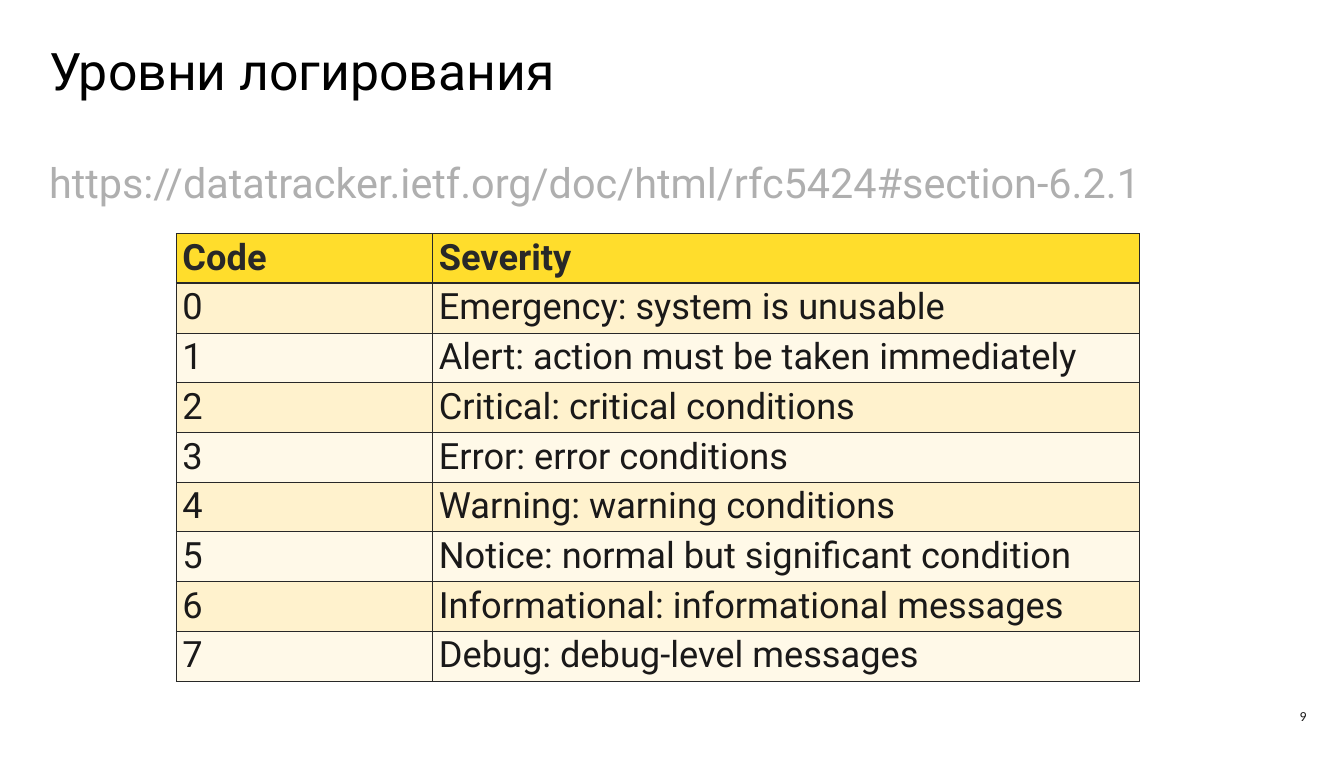
from dataclasses import dataclass

from lxml.etree import SubElement
from pptx import Presentation
from pptx.dml.color import RGBColor
from pptx.enum.text import MSO_ANCHOR as Anchor, MSO_AUTO_SIZE as AutoSize, PP_ALIGN as Align
from pptx.oxml.ns import qn
from pptx.slide import Slide
from pptx.table import _Cell as Cell
from pptx.text.text import _Paragraph as Paragraph
from pptx.util import Inches, Pt

CM_PER_INCH = 2.54
SLIDE_WIDTH = Inches(55 / CM_PER_INCH)
SLIDE_HEIGHT = Inches(31 / CM_PER_INCH)

COLORS = {
    "title": "000000",
    "link": "AFAFAF",
    "text": "1A1919",
    "line": "282828",
    "header": "FFDD2C",
    "odd": "FFF2CD",
    "even": "FFF9E8",
}

SEVERITIES = [
    "Emergency: system is unusable",
    "Alert: action must be taken immediately",
    "Critical: critical conditions",
    "Error: error conditions",
    "Warning: warning conditions",
    "Notice: normal but significant condition",
    "Informational: informational messages",
    "Debug: debug-level messages",
]
ROWS = [("Сode", "Severity")] + [(str(code), name) for code, name in enumerate(SEVERITIES)]
COLUMN_WIDTHS = (4.13, 11.39)
ROW_HEIGHT = 0.8


@dataclass
class Label:
    text: str
    left: float
    top: float
    width: float
    height: float
    size: int
    color: str
    font: str = "Roboto"
    inset: tuple[float, float] = (0, 0)
    align: Align = Align.LEFT
    anchor: Anchor = Anchor.TOP
    auto_size: AutoSize = AutoSize.SHAPE_TO_FIT_TEXT
    line_spacing: float = 1.0


LABELS = [
    Label("Уровни логирования", 0.79, 0.62, 17.25, 1, 60, "title"),
    Label("https://datatracker.ietf.org/doc/html/rfc5424#section-6.2.1",
          0.79, 2.39, 19.98, 0.94, 48, "link", line_spacing=1.18),
    Label("9", 19.98, 11.29, 1.17, 0.47, 16, "text", "Calibri", (0.1, 0.05),
          Align.RIGHT, Anchor.MIDDLE, AutoSize.NONE),
]


def rgb(name: str) -> RGBColor:
    return RGBColor.from_string(COLORS[name])


def add_run(p: Paragraph, text: str, size: int, color: str,
            font: str = "Roboto", bold: bool = False) -> None:
    r = p.add_run()
    r.text = text
    r.font.name, r.font.size, r.font.bold = font, Pt(size), bold
    r.font.color.rgb = rgb(color)


def add_label(s: Slide, label: Label) -> None:
    sp = s.shapes.add_textbox(Inches(label.left), Inches(label.top),
                              Inches(label.width), Inches(label.height))
    tf = sp.text_frame
    tf.word_wrap = True
    tf.auto_size = label.auto_size
    tf.vertical_anchor = label.anchor
    side, edge = map(Inches, label.inset)
    tf.margin_left = tf.margin_right = side
    tf.margin_top = tf.margin_bottom = edge
    p = tf.paragraphs[0]
    p.alignment = label.align
    p.line_spacing = label.line_spacing
    add_run(p, label.text, label.size, label.color, label.font)


def set_borders(cell: Cell, top: int, bottom: int) -> None:
    """Give the cell its four borders; call before filling, as lines precede the fill."""
    tc_pr = cell._tc.get_or_add_tcPr()
    for side, width in (("L", 1), ("R", 1), ("T", top), ("B", bottom)):
        ln = SubElement(tc_pr, qn(f"a:ln{side}"), w=str(Pt(width)))
        fill = SubElement(ln, qn("a:solidFill"))
        SubElement(fill, qn("a:srgbClr"), val=COLORS["line"])


def add_severity_table(s: Slide) -> None:
    frame = s.shapes.add_table(len(ROWS), len(COLUMN_WIDTHS), Inches(2.84), Inches(3.76),
                               Inches(sum(COLUMN_WIDTHS)), Inches(ROW_HEIGHT * len(ROWS)))
    table = frame.table
    for column, width in zip(table.columns, COLUMN_WIDTHS):
        column.width = Inches(width)
    for i, values in enumerate(ROWS):
        table.rows[i].height = Inches(ROW_HEIGHT)
        header = i == 0
        fill = "header" if header else "odd" if i % 2 else "even"
        for j, value in enumerate(values):
            cell = table.cell(i, j)
            set_borders(cell, top=3 if i == 1 else 1, bottom=3 if header else 1)
            cell.fill.solid()
            cell.fill.fore_color.rgb = rgb(fill)
            add_run(cell.text_frame.paragraphs[0], value, 42,
                    "line" if header else "text", bold=header)


def main() -> None:
    prs = Presentation()
    prs.slide_width, prs.slide_height = SLIDE_WIDTH, SLIDE_HEIGHT
    s = prs.slides.add_slide(prs.slide_layouts[6])
    for label in LABELS:
        add_label(s, label)
    add_severity_table(s)
    prs.save("out.pptx")


if __name__ == "__main__":
    main()
